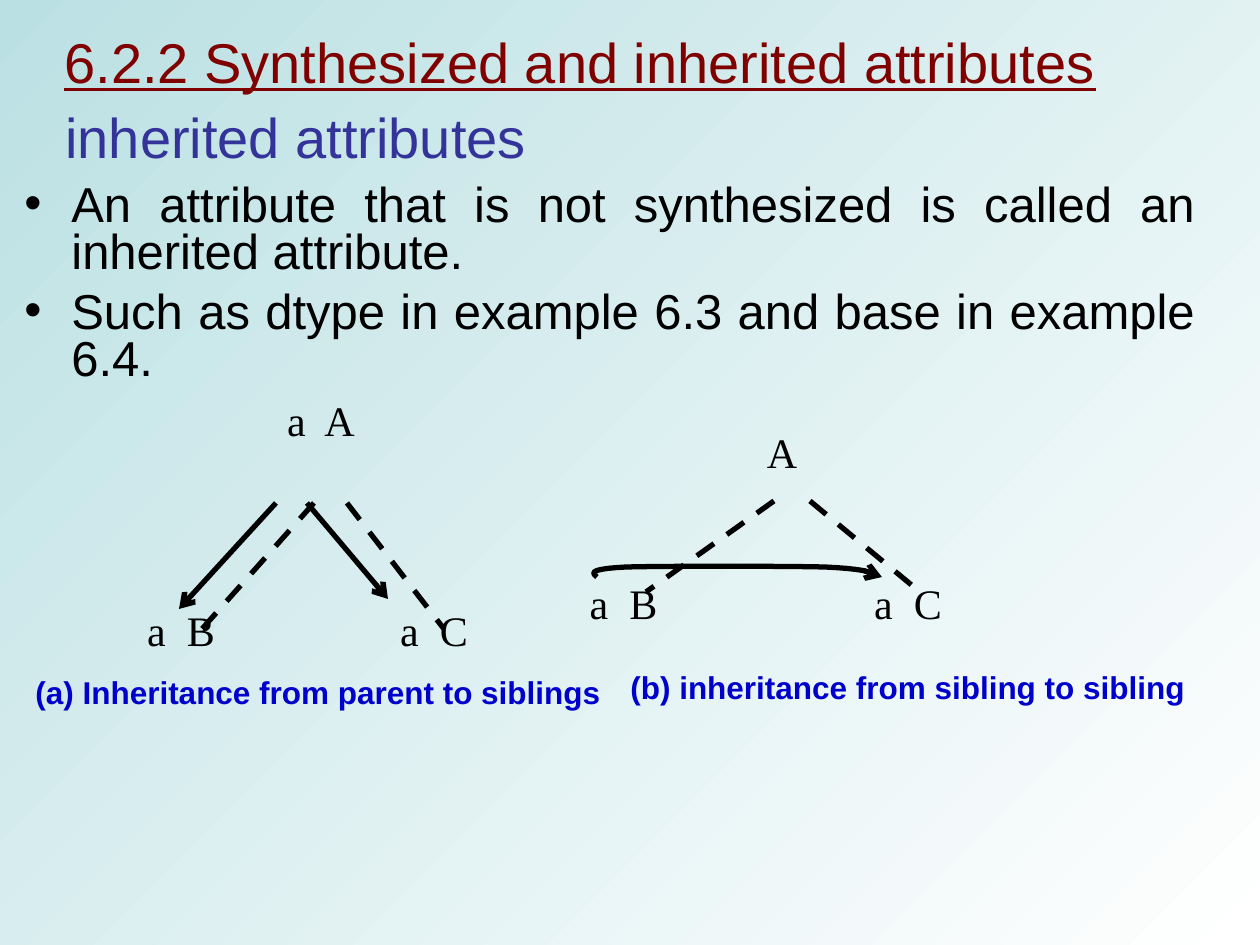
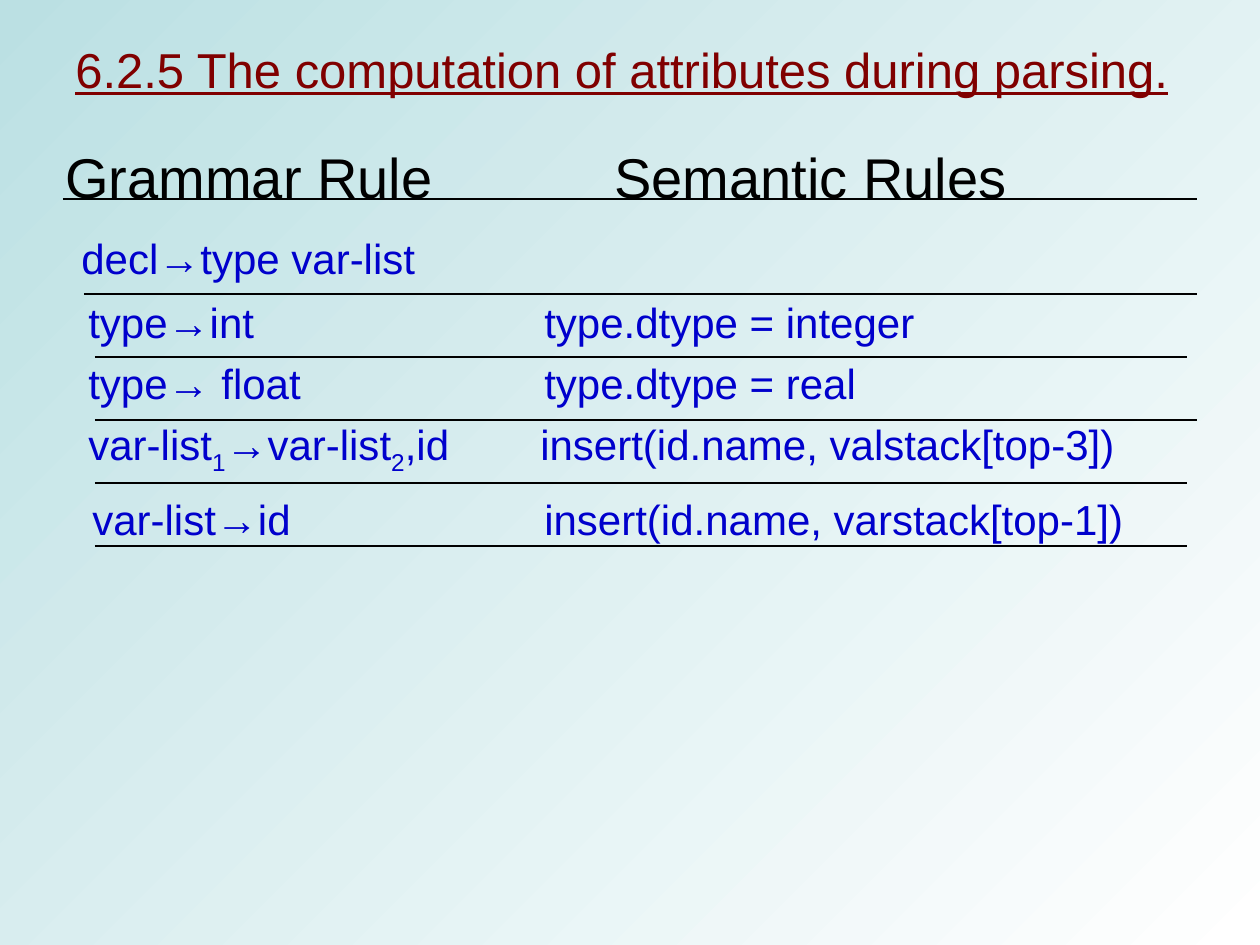
import pptx
import pptx.dml.color
import pptx.enum.dml
import pptx.enum.shapes
import pptx.enum.text
import pptx.oxml
import pptx.oxml.ns
import pptx.util

EMU_PER_PX = 914400 // 126
COLORS = {
    "black": "000000",
    "maroon": "800000",
    "indigo": "333399",
    "blue": "0000CC",
    "mist": "BBE0E3",
    "white": "FFFFFF",
}
SANS = "Arial"
SERIF = "Times New Roman"
ALIGN = pptx.enum.text.PP_ALIGN
ANCHOR = pptx.enum.text.MSO_ANCHOR


def px(length):
    return pptx.util.Emu(round(length * EMU_PER_PX))


def rgb(name):
    return pptx.dml.color.RGBColor.from_string(COLORS[name])


def add_xml(parent, tag, content="", **attributes):
    listed = "".join(f' {name}="{value}"' for name, value in attributes.items())
    namespace = pptx.oxml.ns.nsdecls("a")
    parent.append(pptx.oxml.parse_xml(f"<a:{tag} {namespace}{listed}>{content}</a:{tag}>"))


def add_slide(presentation):
    slide = presentation.slides.add_slide(presentation.slide_layouts[6])
    fill = slide.background.fill
    fill.gradient()
    fill.gradient_angle = 315
    for stop, position, name in zip(fill.gradient_stops, (0, 1), ("mist", "white")):
        stop.position = position
        stop.color.rgb = rgb(name)
    return slide


def add_box(slide, left, top, width, height, anchor=ANCHOR.TOP):
    shape = slide.shapes.add_textbox(px(left), px(top), px(width), px(height))
    shape.text_frame.word_wrap = True
    shape.text_frame.vertical_anchor = anchor
    return shape.text_frame


def next_paragraph(frame):
    first = frame.paragraphs[0]
    return frame.add_paragraph() if first.runs else first


def add_run(paragraph, text, size, color="black", font=SANS,
            bold=False, underline=False, subscript=False):
    run = paragraph.add_run()
    run.text = text
    run.font.name = font
    run.font.size = pptx.util.Pt(size)
    run.font.bold = bold
    run.font.underline = underline
    run.font.color.rgb = rgb(color)
    if subscript:
        run.font._element.set("baseline", "-25000")


def add_label(slide, box, text, size, color, anchor=ANCHOR.TOP, **style):
    paragraph = add_box(slide, *box, anchor).paragraphs[0]
    add_run(paragraph, text, size, color, **style)
    return paragraph


def add_title(slide, box, text, size):
    add_label(slide, box, text, size, "maroon", ANCHOR.MIDDLE, underline=True)


def add_node(slide, box, text):
    paragraph = add_label(slide, box, text, 24, "black", font=SERIF)
    paragraph.alignment = ALIGN.CENTER


def add_bullet(frame, text):
    paragraph = next_paragraph(frame)
    paragraph.alignment = ALIGN.JUSTIFY
    paragraph.line_spacing = 0.8
    paragraph.space_before = pptx.util.Pt(7)
    properties = paragraph._p.get_or_add_pPr()
    properties.set("marL", str(px(59)))
    properties.set("indent", str(px(-47)))
    add_xml(properties, "buFont", typeface=SANS)
    add_xml(properties, "buChar", char="•")
    add_run(paragraph, text, 28)


def add_tabbed_row(frame, tabs, parts, size, color, before, after=0):
    paragraph = next_paragraph(frame)
    paragraph.space_before = pptx.util.Pt(before)
    paragraph.space_after = pptx.util.Pt(after)
    stops = "".join(f'<a:tab pos="{px(tab)}" algn="l"/>' for tab in tabs)
    add_xml(paragraph._p.get_or_add_pPr(), "tabLst", stops)
    for index, part in enumerate(parts):
        add_run(paragraph, part, size, color, subscript=index % 2 == 1)


def style_line(shape, width, dashed=False, arrow=False):
    shape.line.color.rgb = rgb("black")
    shape.line.width = pptx.util.Pt(width)
    if dashed:
        shape.line.dash_style = pptx.enum.dml.MSO_LINE.DASH
    if arrow:
        add_xml(shape.line._get_or_add_ln(), "tailEnd", type="arrow")


def add_line(slide, start, end, width, **style):
    connector = slide.shapes.add_connector(
        pptx.enum.shapes.MSO_CONNECTOR.STRAIGHT, *map(px, start + end))
    style_line(connector, width, **style)
    add_xml(connector._element.spPr, "effectLst")


def bezier_points(start, first, second, end, steps=10):
    for step in range(1, steps + 1):
        t = step / steps
        weights = ((1 - t) ** 3, 3 * t * (1 - t) ** 2, 3 * t * t * (1 - t), t ** 3)
        yield tuple(
            px(sum(weight * value for weight, value in zip(weights, values)))
            for values in zip(start, first, second, end))


def add_curved_arrow(slide, start, curves):
    builder = slide.shapes.build_freeform(px(start[0]), px(start[1]))
    for first, second, end in curves:
        builder.add_line_segments(bezier_points(start, first, second, end), close=False)
        start = end
    shape = builder.convert_to_shape()
    shape.shadow.inherit = False
    shape.fill.background()
    style_line(shape, 3, arrow=True)


def build_inherited_attributes(presentation):
    slide = add_slide(presentation)
    add_label(slide, (53, 105, 1071, 63), "inherited attributes", 32, "indigo", ANCHOR.MIDDLE)
    body = add_box(slide, 0, 179, 1207, 220)
    add_bullet(body, "An attribute that is not synthesized is called an inherited attribute.")
    add_bullet(body, "Such as dtype in example 6.3 and base in example 6.4.")

    for box, text in (
        ((224, 388, 194, 126), "a  A"),
        ((84, 598, 194, 126), "a  B"),
        ((369, 598, 130, 126), "a  C"),
        ((673, 420, 218, 91), "A"),
        ((514, 571, 219, 91), "a  B"),
        ((835, 571, 146, 91), "a  C"),
    ):
        add_node(slide, box, text)

    for start, end in (((276, 503), (179, 609)), ((307, 503), (388, 599))):
        add_line(slide, start, end, 3, arrow=True)
    for start, end in (
        ((314, 503), (202, 629)),
        ((347, 503), (444, 629)),
        ((774, 501), (646, 592)),
        ((810, 501), (920, 592)),
    ):
        add_line(slide, start, end, 3, dashed=True)
    add_curved_arrow(slide, (597, 577), (
        ((592, 573), (588, 569), (626, 567)),
        ((664, 566), (782, 566), (825, 567)),
        ((868, 569), (874, 573), (882, 577)),
    ))

    add_title(slide, (52, 21, 1070, 81), "6.2.2 Synthesized and inherited attributes", 32)
    for left, top, text in (
        (23, 667, "(a) Inheritance from parent to siblings"),
        (618, 662, "(b) inheritance from sibling to sibling"),
    ):
        add_label(slide, (left, top, 610, 60), text, 18, "blue", bold=True)


def build_computation_of_attributes(presentation):
    slide = add_slide(presentation)
    add_title(slide, (63, 21, 1176, 95), "6.2.5 The computation of attributes during parsing.", 28)

    rules = add_box(slide, 53, 136, 1134, 624)
    add_tabbed_row(rules, (549,), ["Grammar Rule\tSemantic Rules"], 32, "black", 12)
    for tabs, parts, before, after in (
        ((16,), ["\tdecl→type var-list"], 13, 2),
        ((23, 479), ["\ttype→int\ttype.dtype = integer"], 6, 0),
        ((23, 479), ["\ttype→ float\ttype.dtype = real"], 6, 0),
        ((23, 475), ["\tvar-list", "1", "→var-list", "2",
                     ",id\tinsert(id.name, valstack[top-3])"], 6, 0),
        ((27, 479), ["\tvar-list→id\tinsert(id.name, varstack[top-1])"], 10, 0),
    ):
        add_tabbed_row(rules, tabs, parts, 24, "blue", before, after)

    add_line(slide, (63, 199), (1197, 199), 0.75)
    add_line(slide, (84, 294), (1197, 294), 0.75)
    for row, right in enumerate((1187, 1197, 1187, 1187)):
        y = 357 + 63 * row
        add_line(slide, (95, y), (right, y), 0.75)


def main():
    presentation = pptx.Presentation()
    presentation.slide_width = px(1260)
    presentation.slide_height = px(945)
    build_inherited_attributes(presentation)
    build_computation_of_attributes(presentation)
    presentation.save("out.pptx")


if __name__ == "__main__":
    main()
